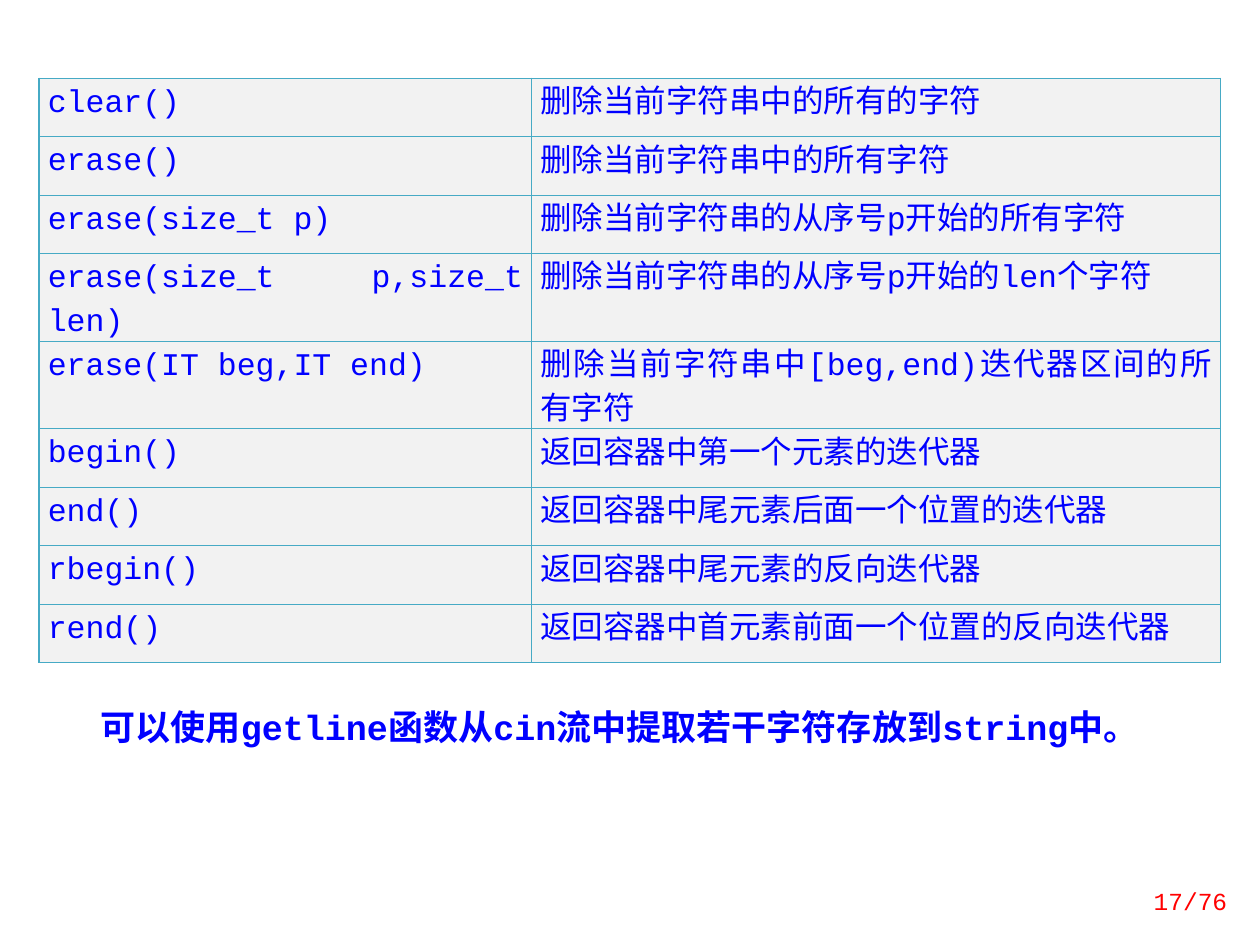
from typing import NamedTuple

from lxml import etree
from pptx import Presentation
from pptx.dml.color import RGBColor
from pptx.enum import text
from pptx.oxml import ns
from pptx.util import Inches, Length, Pt

BLUE = RGBColor(0x00, 0x00, 0xFF)
RED = RGBColor(0xFF, 0x00, 0x00)
PALE_GRAY = RGBColor(0xF2, 0xF2, 0xF2)
TEAL = RGBColor(0x46, 0xAA, 0xC5)

MEMBER_FORMAT = {"name": "Courier New", "size": Pt(18), "bold": False}
NOTE_FORMAT = {"name": "Courier New", "size": Pt(20), "bold": True}
PAGE_FORMAT = {"name": "Courier New", "size": Pt(14), "bold": False}
CELL_FORMAT = {
    "margin_left": Inches(0.07),
    "margin_right": Inches(0.07),
    "margin_top": 0,
    "margin_bottom": 0,
}
ONE_LINE = Inches(4.18 / 9)
TWO_LINES = Inches(0.69)
COLUMN_WIDTHS = (Inches(3.91), Inches(5.47))


class Member(NamedTuple):
    signature: str
    meaning: str
    height: Length = ONE_LINE


class Caption(NamedTuple):
    wording: str
    left: float
    top: float
    width: float
    height: float
    font: dict
    color: RGBColor
    align: text.PP_ALIGN
    anchor: text.MSO_ANCHOR
    fit: text.MSO_AUTO_SIZE


MEMBERS = (
    Member("clear()", "删除当前字符串中的所有的字符"),
    Member("erase()", "删除当前字符串中的所有字符"),
    Member("erase(size_t p)", "删除当前字符串的从序号p开始的所有字符"),
    Member("erase(size_t p,size_t len)", "删除当前字符串的从序号p开始的len个字符", TWO_LINES),
    Member("erase(IT beg,IT end)", "删除当前字符串中[beg,end)迭代器区间的所有字符", TWO_LINES),
    Member("begin()", "返回容器中第一个元素的迭代器"),
    Member("end()", "返回容器中尾元素后面一个位置的迭代器"),
    Member("rbegin()", "返回容器中尾元素的反向迭代器"),
    Member("rend()", "返回容器中首元素前面一个位置的反向迭代器"),
)

CAPTIONS = (
    Caption("可以使用getline函数从cin流中提取若干字符存放到string中。",
            0.7, 5.55, 8.2, 0.44, NOTE_FORMAT, BLUE, text.PP_ALIGN.LEFT,
            text.MSO_ANCHOR.TOP, text.MSO_AUTO_SIZE.SHAPE_TO_FIT_TEXT),
    Caption("17/76", 8.78, 6.95, 1.06, 0.4, PAGE_FORMAT, RED, text.PP_ALIGN.RIGHT,
            text.MSO_ANCHOR.MIDDLE, text.MSO_AUTO_SIZE.NONE),
)


def apply_format(target, values: dict) -> None:
    for attribute, value in values.items():
        setattr(target, attribute, value)


def write(paragraph, wording: str, font: dict, color: RGBColor) -> None:
    run = paragraph.add_run()
    run.text = wording
    apply_format(run.font, font)
    run.font.color.rgb = color


def add_borders(cell) -> None:
    """Outline all four sides; the lines must come before the fill."""
    properties = cell._tc.get_or_add_tcPr()
    for position, side in enumerate(("lnL", "lnR", "lnT", "lnB")):
        line = etree.Element(ns.qn(f"a:{side}"), w=str(Pt(0.75)))
        fill = etree.SubElement(line, ns.qn("a:solidFill"))
        etree.SubElement(fill, ns.qn("a:srgbClr"), val=str(TEAL))
        properties.insert(position, line)


def fill_cell(cell, wording: str) -> None:
    apply_format(cell, CELL_FORMAT)
    cell.fill.solid()
    cell.fill.fore_color.rgb = PALE_GRAY
    add_borders(cell)
    paragraph = cell.text_frame.paragraphs[0]
    paragraph.alignment = text.PP_ALIGN.JUSTIFY
    paragraph.line_spacing = Pt(25)
    write(paragraph, wording, MEMBER_FORMAT, BLUE)


def add_member_table(slide, members: tuple[Member, ...]) -> None:
    table = slide.shapes.add_table(
        len(members), len(COLUMN_WIDTHS), Inches(0.31), Inches(0.62),
        sum(COLUMN_WIDTHS), sum(member.height for member in members)).table
    table.first_row = table.horz_banding = False
    for column, width in zip(table.columns, COLUMN_WIDTHS):
        column.width = width
    for row, member in zip(table.rows, members):
        row.height = member.height
        for cell, wording in zip(row.cells, (member.signature, member.meaning)):
            fill_cell(cell, wording)


def add_caption(slide, caption: Caption) -> None:
    frame = slide.shapes.add_textbox(
        Inches(caption.left), Inches(caption.top),
        Inches(caption.width), Inches(caption.height)).text_frame
    apply_format(frame, {"word_wrap": True, "auto_size": caption.fit,
                         "vertical_anchor": caption.anchor})
    paragraph = frame.paragraphs[0]
    paragraph.alignment = caption.align
    write(paragraph, caption.wording, caption.font, caption.color)


def main() -> None:
    deck = Presentation()
    deck.slide_width, deck.slide_height = Inches(10), Inches(7.5)
    slide = deck.slides.add_slide(deck.slide_layouts[6])
    add_member_table(slide, MEMBERS)
    for caption in CAPTIONS:
        add_caption(slide, caption)
    deck.save("out.pptx")


if __name__ == "__main__":
    main()
